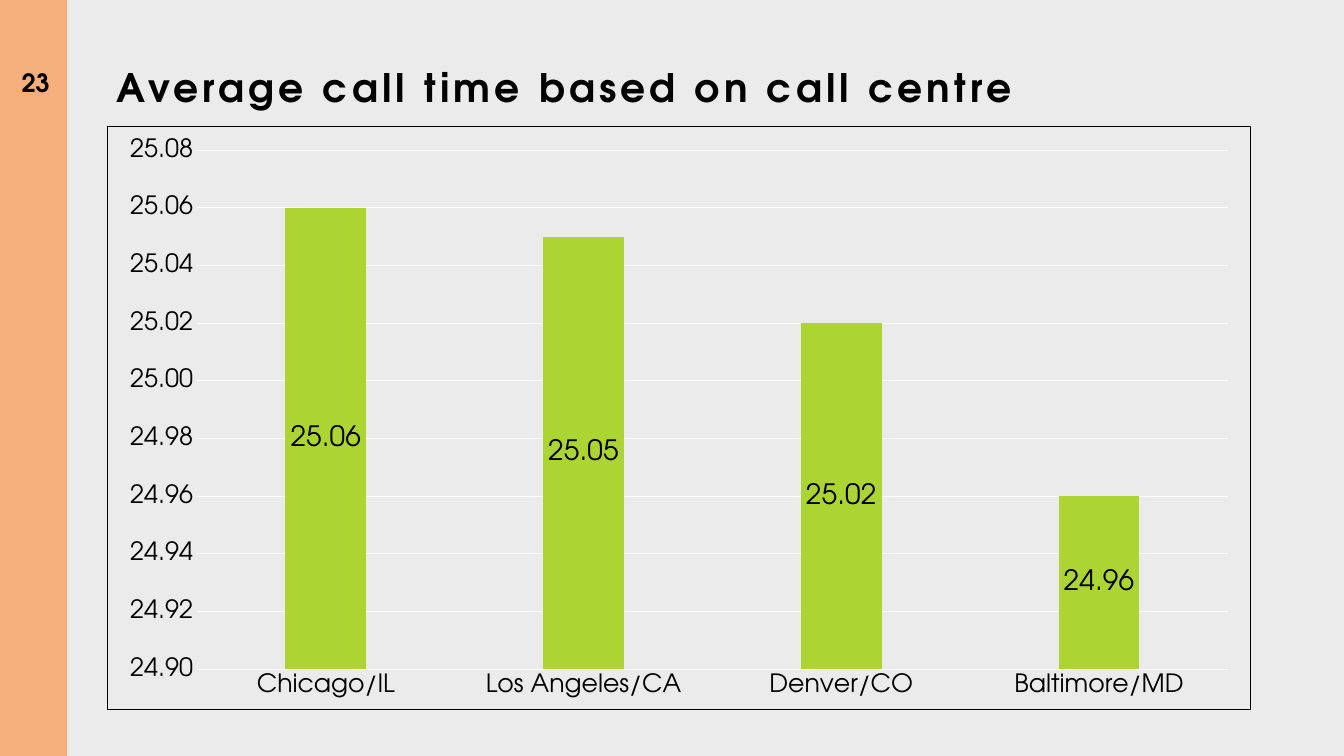
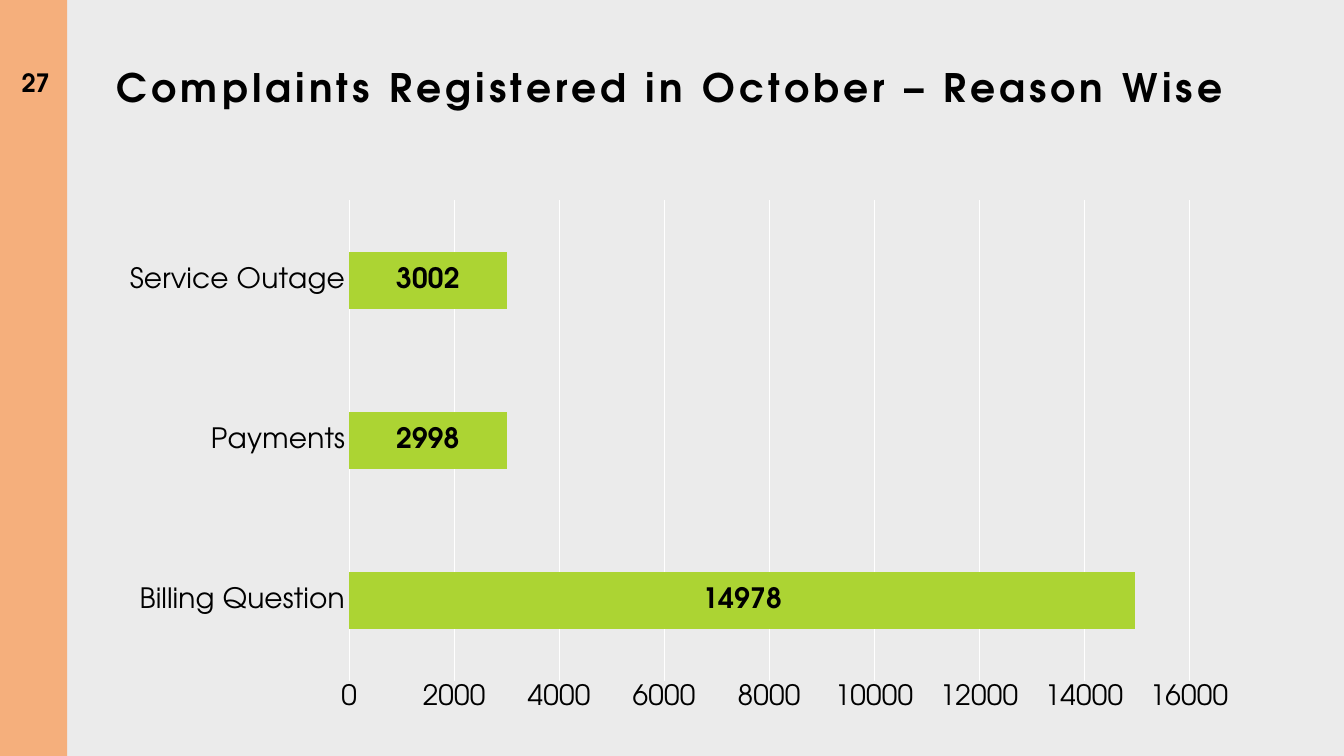
from lxml import etree
from pptx import Presentation
from pptx.chart.data import CategoryChartData
from pptx.dml.color import RGBColor
from pptx.enum.chart import XL_CHART_TYPE as CT, XL_LABEL_POSITION as LP, XL_TICK_MARK as TM
from pptx.enum.shapes import MSO_SHAPE
from pptx.enum.text import MSO_ANCHOR as ANC, PP_ALIGN as AL
from pptx.oxml.ns import qn
from pptx.util import Inches, Pt


def rgb(code):
    return RGBColor.from_string(code)


class Deck:
    FONT = "TeX Gyre Adventor"
    BACK, BAND, INK, GRID, BAR = "EBEBEB", "F5AF7C", "000000", "FFFFFF", "ACD433"
    LEFT, WIDTH = 7.95, 85.15  # content column, percent of slide width

    def __init__(self):
        self.prs = Presentation()
        self.prs.slide_width, self.prs.slide_height = Inches(13.33), Inches(7.5)
        fill = self.prs.slide_master.background.fill
        fill.solid()
        fill.fore_color.rgb = rgb(self.BACK)

    def box(self, x, y, w, h):
        """Turn percentages of the slide's size into lengths."""
        sw, sh = self.prs.slide_width, self.prs.slide_height
        return [int(v * size / 100) for v, size in zip((x, y, w, h), (sw, sh, sw, sh))]

    def style(self, font, size, bold=False):
        font.name, font.size, font.bold = self.FONT, Pt(size), bold
        font.color.rgb = rgb(self.INK)

    # Slide frame: band, number, title
    def slide(self, number, title):
        self.s = self.prs.slides.add_slide(self.prs.slide_layouts[6])
        self.band()
        r = self.text(title, (self.LEFT, 8.93, self.WIDTH, 15.6), 28, 0.8)
        r.font._element.set("spc", "300")
        self.text(number, (0.15, 8.27, 5, 5.33), 18, 0.9, AL.CENTER, ANC.BOTTOM, 6)

    def band(self):
        sp = self.s.shapes.add_shape(MSO_SHAPE.RECTANGLE, *self.box(0, 0, 5, 100))
        sp.shadow.inherit = False
        sp.fill.solid()
        sp.fill.fore_color.rgb = rgb(self.BAND)
        sp.line.fill.background()

    def text(self, words, at, size, spacing, align=AL.LEFT, anchor=ANC.TOP, after=0):
        tf = self.s.shapes.add_textbox(*self.box(*at)).text_frame
        tf.word_wrap, tf.vertical_anchor = True, anchor
        p = tf.paragraphs[0]
        p.text = words
        p.alignment, p.line_spacing, p.space_after = align, spacing, Pt(after)
        r = p.runs[0]
        self.style(r.font, size, bold=True)
        return r

    # Charts
    def chart(self, kind, values, top, height, scale, size, gap, overlap=0,
              fmt="General", bold=False, border=False):
        data = CategoryChartData(number_format=fmt)
        data.categories = list(values)
        data.add_series("Series 1", list(values.values()))
        at = self.box(self.LEFT, top, self.WIDTH, height)
        chart = self.s.shapes.add_chart(kind, *at, data).chart
        chart.has_legend = chart.has_title = False
        self.style(chart.font, size)
        self.frame(chart, border)
        self.axes(chart, scale, size, fmt)

        plot = chart.plots[0]
        plot.gap_width, plot.overlap, plot.vary_by_categories = gap, overlap, False
        fill = plot.series[0].format.fill
        fill.solid()
        fill.fore_color.rgb = rgb(self.BAR)
        plot.has_data_labels = True
        labels = plot.data_labels
        labels.show_value, labels.position = True, LP.CENTER
        labels.number_format, labels.number_format_is_linked = fmt, False
        self.style(labels.font, 20, bold)

    def axes(self, chart, scale, size, fmt):
        cat, val = chart.category_axis, chart.value_axis
        for axis in (cat, val):
            axis.major_tick_mark = axis.minor_tick_mark = TM.NONE
            self.style(axis.tick_labels.font, size)
        val.minimum_scale, val.maximum_scale, val.major_unit = scale
        val.tick_labels.number_format = fmt
        val.tick_labels.number_format_is_linked = False
        val.format.line.fill.background()
        for line in (cat.format.line, val.major_gridlines.format.line):
            line.color.rgb, line.width = rgb(self.GRID), Pt(0.75)

    def frame(self, chart, border):
        """Clear the chart's ground and outline it if asked."""
        sppr = etree.Element(qn("c:spPr"))
        etree.SubElement(sppr, qn("a:noFill"))
        ln = etree.SubElement(sppr, qn("a:ln"), w=str(Pt(0.75)))
        if border:
            fill = etree.SubElement(ln, qn("a:solidFill"))
            etree.SubElement(fill, qn("a:srgbClr"), val=self.INK)
        else:
            etree.SubElement(ln, qn("a:noFill"))
        chart.element.find(qn("c:chart")).addnext(sppr)


def main():
    deck = Deck()

    # Call time by centre
    deck.slide("23", "Average call time based on call centre")
    times = {"Chicago/IL": 25.06, "Los Angeles/CA": 25.05,
             "Denver/CO": 25.02, "Baltimore/MD": 24.96}
    deck.chart(CT.COLUMN_CLUSTERED, times, 16.67, 77.2, (24.9, 25.08, 0.02), 18,
               gap=219, overlap=-27, fmt="0.00", border=True)

    # Complaints by reason
    deck.slide("27", "Complaints Registered in October – Reason Wise")
    reasons = {"Billing Question": 14978, "Payments": 2998, "Service Outage": 3002}
    deck.chart(CT.BAR_CLUSTERED, reasons, 25.07, 70.4, (0, 16000, 2000), 20,
               gap=182, bold=True)

    deck.prs.save("out.pptx")


if __name__ == "__main__":
    main()
